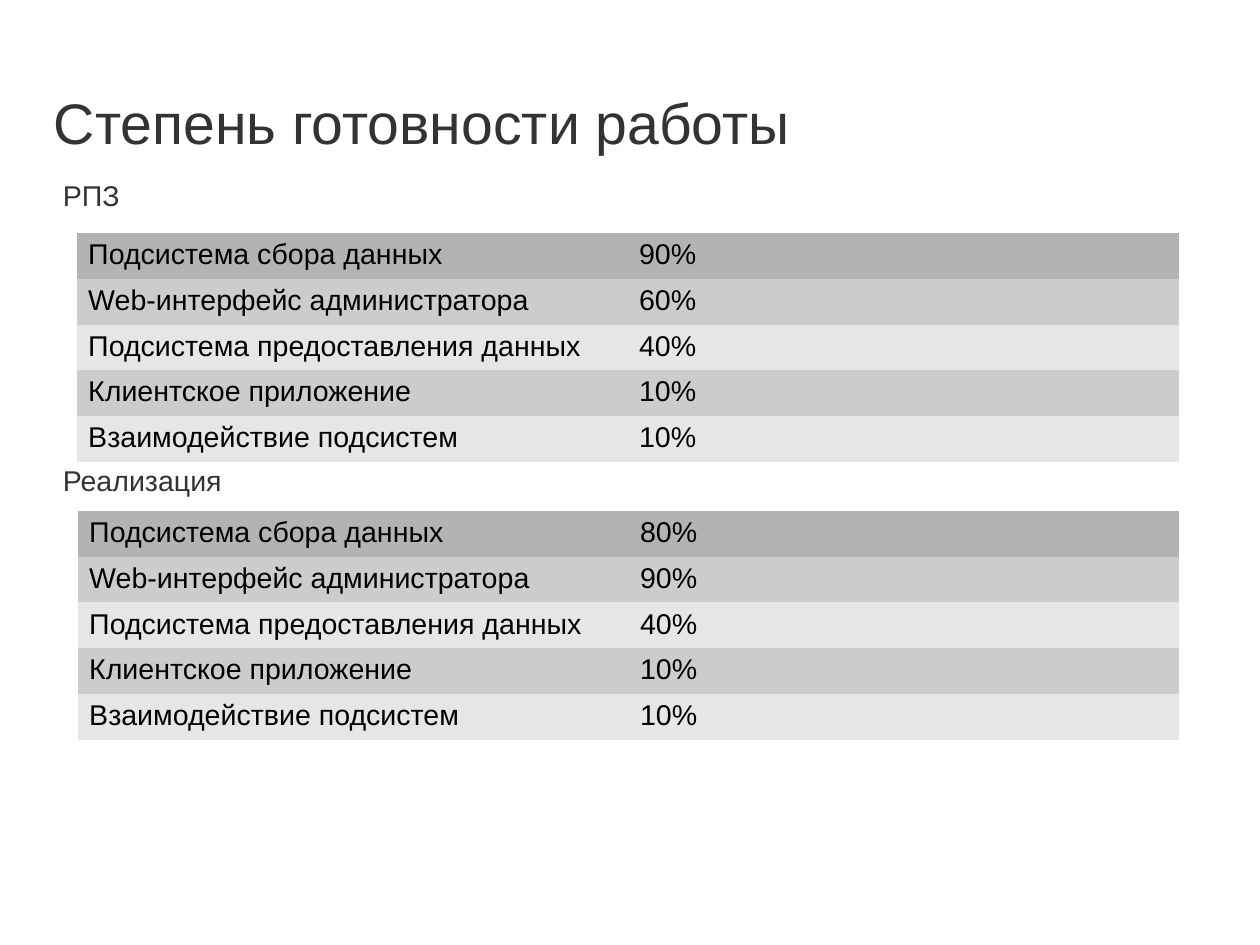
from pptx import Presentation
from pptx.dml.color import RGBColor
from pptx.enum.text import MSO_ANCHOR as Anchor
from pptx.oxml.ns import qn
from pptx.util import Pt


def paint(target, color):
    target.solid()
    target.fore_color.rgb = RGBColor.from_string(color)


def write(frame, text, size=18, color="333333"):
    span = frame.paragraphs[0].add_run()
    span.text = text
    span.font.name = "Arial"
    span.font.size = Pt(size)
    paint(span.font.fill, color)


deck = Presentation()
deck.slide_width, deck.slide_height = Pt(793.7), Pt(595.27)
page = deck.slides.add_slide(deck.slide_layouts[6])

headings = [
    ("Степень готовности работы", 34, 51, 556, 51, 36),
    ("РПЗ", 39.6, 109.5, 714, 26.6, 18),
    ("Реализация", 39.6, 289.2, 714, 26.6, 18),
]
for text, left, top, width, height, size in headings:
    box = page.shapes.add_textbox(Pt(left), Pt(top), Pt(width), Pt(height))
    frame = box.text_frame
    frame.word_wrap = True
    frame.vertical_anchor = Anchor.MIDDLE
    frame.margin_left = frame.margin_right = 0
    frame.margin_top = frame.margin_bottom = 0
    write(frame, text, size=size)

parts = [
    "Подсистема сбора данных",
    "Web-интерфейс администратора",
    "Подсистема предоставления данных",
    "Клиентское приложение",
    "Взаимодействие подсистем",
]
row_fills = ["B3B3B3", "CCCCCC", "E6E6E6", "CCCCCC", "E6E6E6"]
progress_tables = [
    (48.4, 146.8, ["90%", "60%", "40%", "10%", "10%"]),
    (49, 321.8, ["80%", "90%", "40%", "10%", "10%"]),
]
plain_style = "{2D5ABB26-0587-4C30-8999-92F81FD0307C}"
row_height = 27.5
for left, top, progress in progress_tables:
    holder = page.shapes.add_table(
        len(parts), 2, Pt(left), Pt(top), Pt(694), Pt(row_height * len(parts))
    )
    next(holder._element.iter(qn("a:tableStyleId"))).text = plain_style
    table = holder.table
    table.first_row = table.horz_banding = False
    for row, fill, *texts in zip(table.rows, row_fills, parts, progress):
        row.height = Pt(row_height)
        for cell, text in zip(row.cells, texts):
            paint(cell.fill, fill)
            write(cell.text_frame, text, color="000000")

deck.save("out.pptx")
